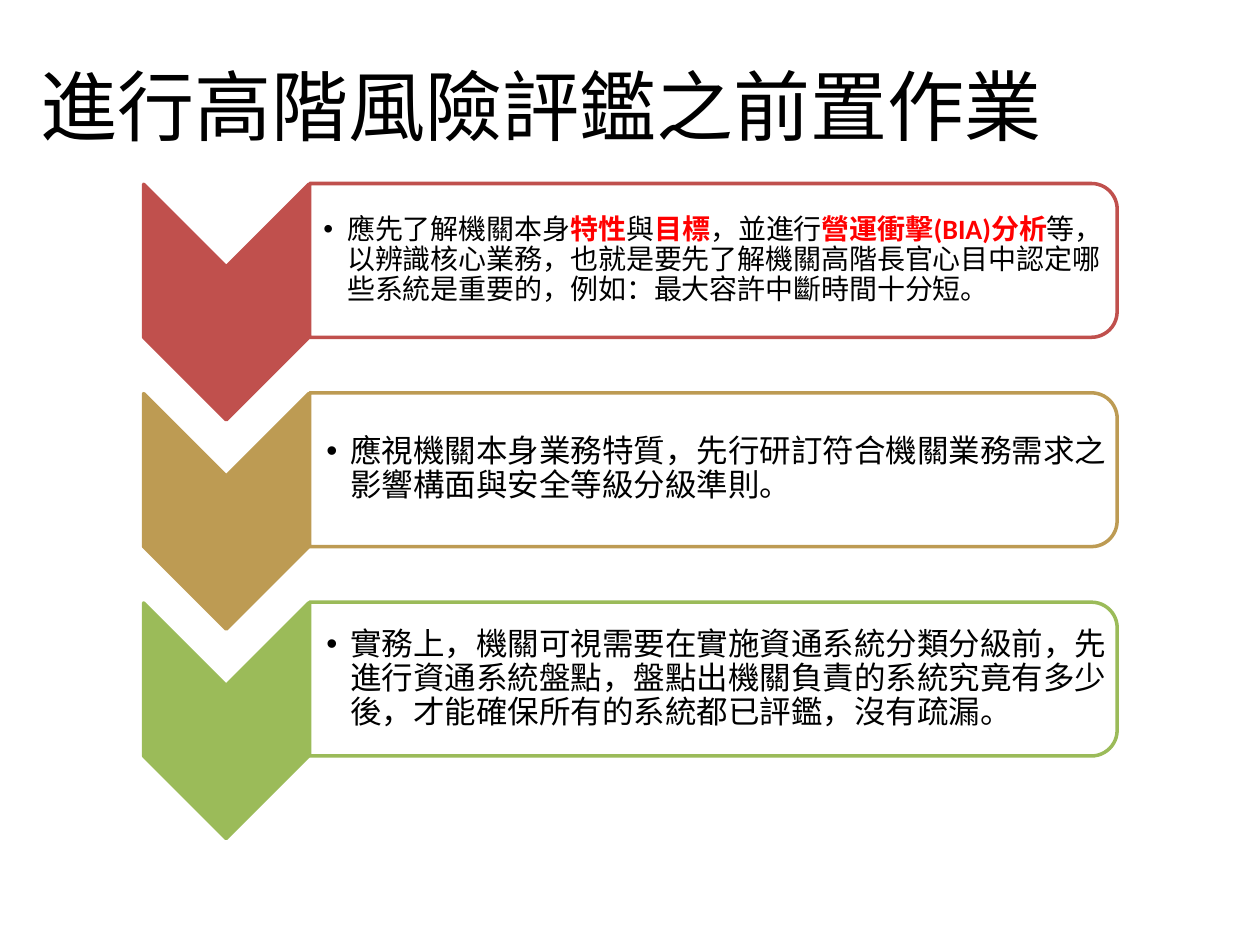
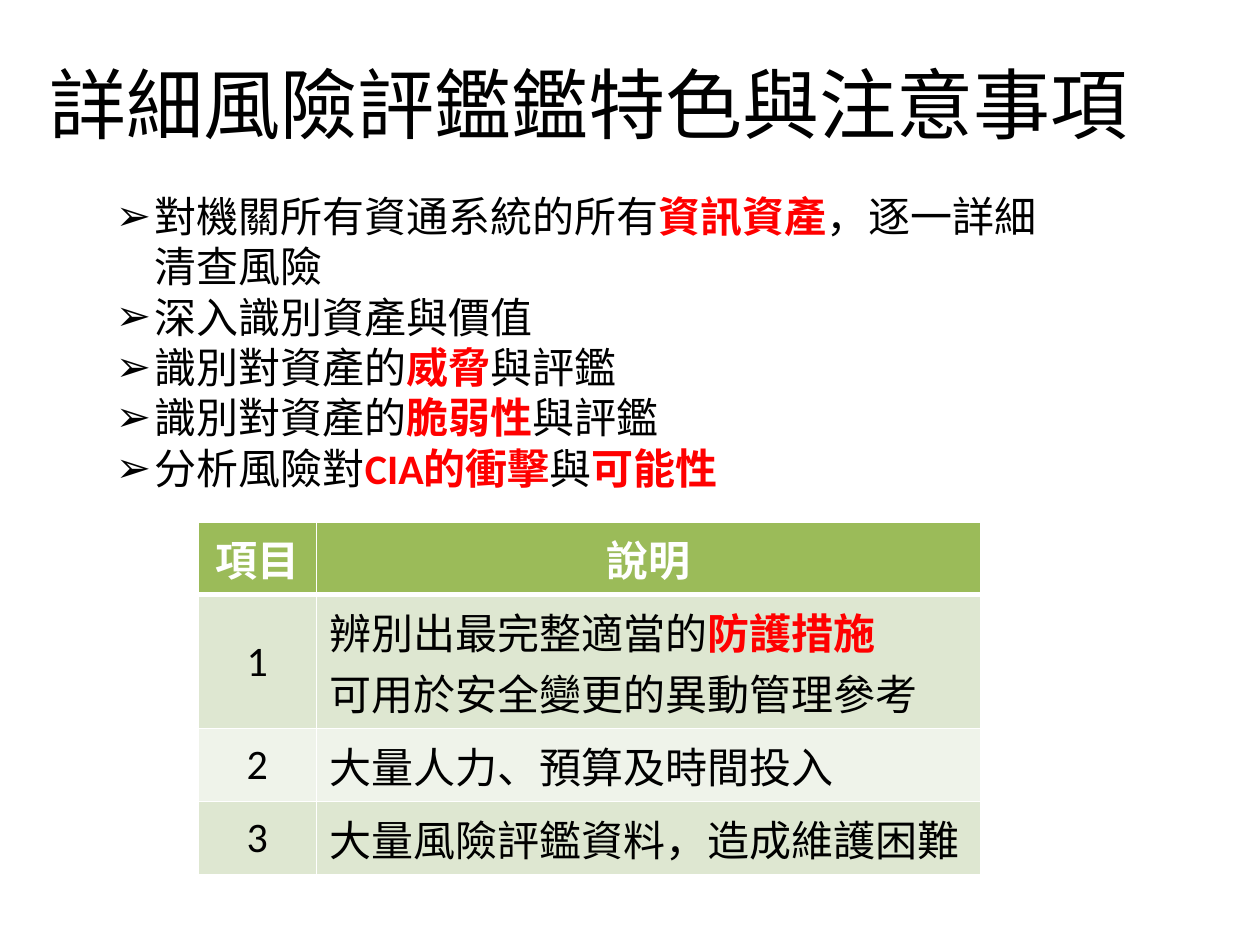
import pptx
import pptx.dml.color
import pptx.enum.shapes
import pptx.enum.text
import pptx.oxml
import pptx.oxml.ns
import pptx.util
from lxml import etree
from pptx.util import Cm, Pt

RGBColor = pptx.dml.color.RGBColor
MSO_SHAPE = pptx.enum.shapes.MSO_SHAPE
PP_ALIGN = pptx.enum.text.PP_ALIGN
MSO_ANCHOR = pptx.enum.text.MSO_ANCHOR
qn = pptx.oxml.ns.qn

BLACK = RGBColor(0x00, 0x00, 0x00)
WHITE = RGBColor(0xFF, 0xFF, 0xFF)
EMPHASIS = RGBColor(0xFF, 0x00, 0x00)
RED = RGBColor(0xC0, 0x50, 0x4D)
OCHRE = RGBColor(0xBD, 0x9B, 0x53)
GREEN = RGBColor(0x9B, 0xBB, 0x59)
BAND_DARK = RGBColor(0xDE, 0xE7, 0xD1)
BAND_LIGHT = RGBColor(0xEF, 0xF3, 0xEA)
FONT = "Calibri"


def write(paragraph, text, size, color=BLACK, bold=False):
    """Fill the paragraph; parts between asterisks become bold and red."""
    for number, part in enumerate(text.split("*")):
        if not part:
            continue
        emphasised = number % 2 == 1
        run = paragraph.add_run()
        run.text = part
        run.font.name = FONT
        run.font.size = Pt(size)
        run.font.bold = bold or emphasised
        run.font.color.rgb = EMPHASIS if emphasised else color


def add_bullet(paragraph, symbol, indent):
    properties = paragraph._p.get_or_add_pPr()
    properties.set("marL", str(indent))
    properties.set("indent", str(-indent))
    etree.SubElement(properties, qn("a:buFont")).set("typeface", "Arial")
    etree.SubElement(properties, qn("a:buChar")).set("char", symbol)


deck = pptx.Presentation()
deck.slide_width, deck.slide_height = Cm(25.4), Cm(19.05)

# Titles of both slides: layout, text, left, top, width
headings = [
    (5, "進行高階風險評鑑之前置作業", 0.5, 0.53, 20.83),
    (1, "詳細風險評鑑鑑特色與注意事項", 0.58, 0.48, 22.6),
]
for layout, heading, left, top, width in headings:
    title = deck.slides.add_slide(deck.slide_layouts[layout]).shapes.title
    title.left, title.top, title.width, title.height = Cm(left), Cm(top), Cm(width), Cm(3.18)
    title.text_frame.vertical_anchor = MSO_ANCHOR.MIDDLE
    title.text_frame.paragraphs[0].alignment = PP_ALIGN.CENTER
    write(title.text_frame.paragraphs[0], heading, 44)
preparation, assessment = deck.slides

# Slide 1: three preparation steps: colour, text size, left inset, text
steps = [
    (RED, 16, 0.3, "應先了解機關本身*特性*與*目標*，並進行*營運衝擊(BIA)分析*等，以辨識核心業務，"
     "也就是要先了解機關高階長官心目中認定哪些系統是重要的，例如：最大容許中斷時間十分短。"),
    (OCHRE, 18, 0.36, "應視機關本身業務特質，先行研訂符合機關業務需求之影響構面與安全等級分級準則。"),
    (GREEN, 18, 0.36, "實務上，機關可視需要在實施資通系統分類分級前，先進行資通系統盤點，"
     "盤點出機關負責的系統究竟有多少後，才能確保所有的系統都已評鑑，沒有疏漏。"),
]
STEP_PITCH = 4.22
for number, (color, size, inset, text) in enumerate(steps):
    middle = 5.25 + number * STEP_PITCH
    # Both outlines are turned a quarter, so they are placed by their centres
    outlines = [
        (MSO_SHAPE.CHEVRON, 4.56, middle + 0.84, 4.75, 3.33, color),
        (MSO_SHAPE.ROUND_2_SAME_RECTANGLE, 14.38, middle, 3.1, 16.28, WHITE),
    ]
    for preset, center_x, center_y, width, height, fill in outlines:
        outline = preparation.shapes.add_shape(
            preset, Cm(center_x - width / 2), Cm(center_y - height / 2), Cm(width), Cm(height))
        outline.rotation = 90
        outline.shadow.inherit = False
        outline.fill.solid()
        outline.fill.fore_color.rgb = fill
        outline.line.color.rgb = color
        outline.line.width = Pt(2)
    panel_color = outline._element.spPr.find(qn("a:solidFill"))[0]
    etree.SubElement(panel_color, qn("a:alpha")).set("val", "90000")

    advice = preparation.shapes.add_textbox(
        Cm(6.22), Cm(middle - 1.4), Cm(16.13), Cm(2.8)).text_frame
    advice.word_wrap = True
    advice.vertical_anchor = MSO_ANCHOR.MIDDLE
    advice.margin_left = Cm(inset)
    advice.margin_top = advice.margin_right = advice.margin_bottom = Cm(0.03)
    advice_line = advice.paragraphs[0]
    add_bullet(advice_line, "•", Cm(0.48))
    advice_line.line_spacing = 0.9
    write(advice_line, text, size)

# Slide 2: features of the detailed assessment
features = [
    "對機關所有資通系統的所有*資訊資產*，逐一詳細清查風險",
    "深入識別資產與價值",
    "識別對資產的*威脅*與評鑑",
    "識別對資產的*脆弱性*與評鑑",
    "分析風險對*CIA的衝擊*與*可能性*",
]
feature_list = assessment.placeholders[1]
feature_list.left, feature_list.top = Cm(2.08), Cm(3.71)
feature_list.width, feature_list.height = Cm(19.63), Cm(6.4)
feature_list.text_frame.auto_size = pptx.enum.text.MSO_AUTO_SIZE.SHAPE_TO_FIT_TEXT
for number, feature in enumerate(features):
    frame = feature_list.text_frame
    feature_line = frame.add_paragraph() if number else frame.paragraphs[0]
    add_bullet(feature_line, "➢", Cm(0.79))
    feature_line.space_before = Pt(0)
    write(feature_line, feature, 24)

# Slide 2: notes on the detailed assessment
remarks = [
    ("項目", "說明"),
    ("1", "辨別出最完整適當的*防護措施*\n可用於安全變更的異動管理參考"),
    ("2", "大量人力、預算及時間投入"),
    ("3", "大量風險評鑑資料，造成維護困難"),
]
row_heights = [1.47, 2.7, 1.47, 1.47]
remark_table = assessment.shapes.add_table(
    len(remarks), 2, Cm(3.99), Cm(10.52), Cm(15.78), Cm(sum(row_heights))).table
remark_table.horz_banding = False
remark_table.columns[0].width, remark_table.columns[1].width = Cm(2.39), Cm(13.39)
for r, remark in enumerate(remarks):
    remark_table.rows[r].height = Cm(row_heights[r])
    for c, text in enumerate(remark):
        cell = remark_table.cell(r, c)
        is_header = r == 0
        centred = is_header or c == 0
        for side in "LRTB":
            thick = (r, side) in [(0, "B"), (1, "T")]
            border = etree.SubElement(cell._tc.get_or_add_tcPr(), qn("a:ln" + side))
            border.set("w", str(Pt(3 if thick else 1)))
            border_fill = etree.SubElement(border, qn("a:solidFill"))
            etree.SubElement(border_fill, qn("a:srgbClr")).set("val", str(WHITE))
        cell.fill.solid()
        cell.fill.fore_color.rgb = GREEN if is_header else BAND_DARK if r % 2 else BAND_LIGHT
        cell.vertical_anchor = MSO_ANCHOR.MIDDLE if centred else MSO_ANCHOR.TOP
        for number, line in enumerate(text.split("\n")):
            frame = cell.text_frame
            paragraph = frame.add_paragraph() if number else frame.paragraphs[0]
            paragraph.alignment = PP_ALIGN.CENTER if centred else PP_ALIGN.LEFT
            write(paragraph, line, 24, WHITE if is_header else BLACK, is_header)

deck.save("out.pptx")
